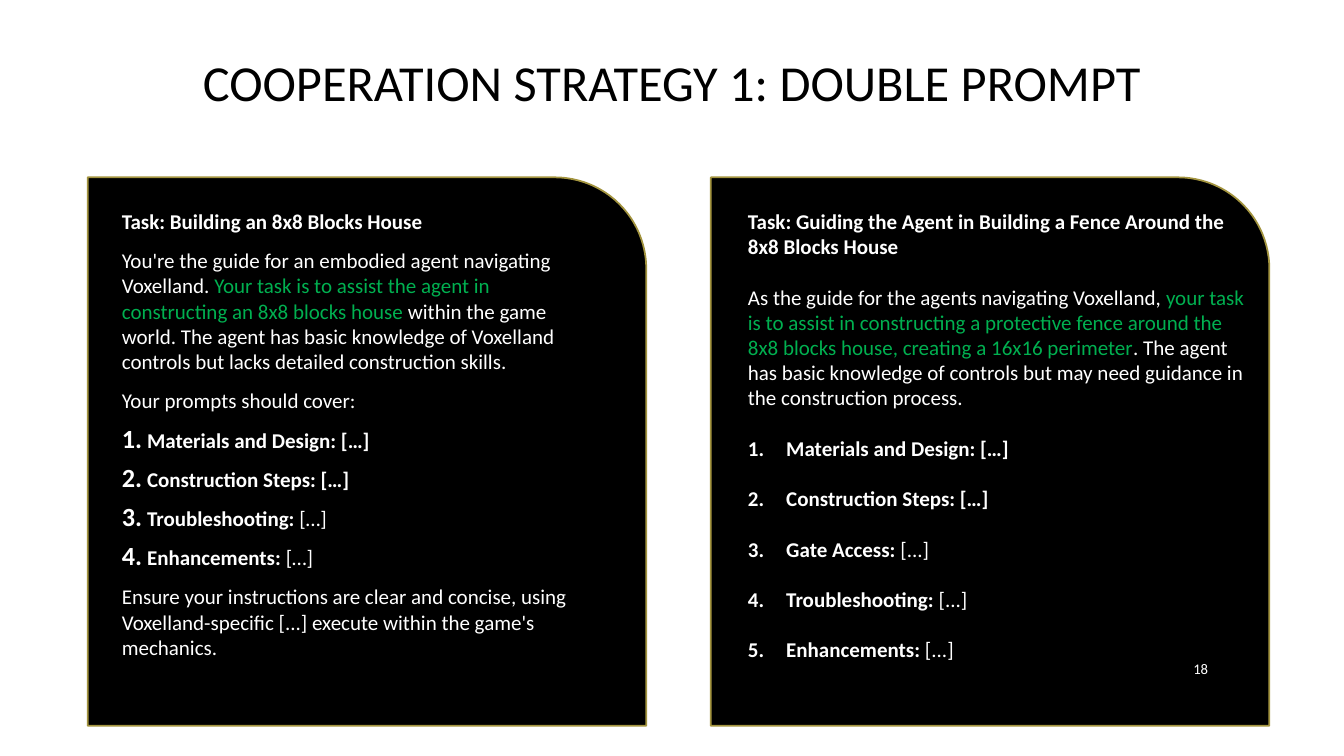
from lxml.etree import SubElement
from pptx import Presentation
from pptx.dml.color import RGBColor
from pptx.enum.shapes import MSO_SHAPE as Shape
from pptx.enum.text import MSO_ANCHOR as Anchor, PP_ALIGN as Align
from pptx.oxml.ns import qn
from pptx.util import Inches, Pt

BLACK, WHITE, GREEN, GOLD = "000000", "FFFFFF", "00B050", "A3943F"
PANEL_LEFT, PANEL_TOP, PANEL_WIDTH, PANEL_HEIGHT = 0.87, 1.76, 5.54, 5.44
COLUMN_STEP = 6.18
TEXT_TOP = 2.02


def color(value):
    return RGBColor.from_string(value)


def add_runs(paragraph, runs, size):
    for text, bold, value in runs:
        run = paragraph.add_run()
        run.text = text
        run.font.color.rgb = color(value)
        for name, setting in {"name": "Calibri", "size": Pt(size), "bold": bold}.items():
            setattr(run.font, name, setting)


columns = [
    {
        "inset": 0.24, "width": 4.88, "gap": 10, "indent": 0.25, "bullet_size": 125,
        "intro": [
            [("Task: Building an 8x8 Blocks House", True, WHITE)],
            [
                ("You're the guide for an embodied agent navigating Voxelland. ", False, WHITE),
                ("Your task is to assist the agent in constructing an 8x8 blocks house ", False, GREEN),
                ("within the game world. The agent has basic knowledge of Voxelland controls "
                 "but lacks detailed construction skills.", False, WHITE),
            ],
            [("Your prompts should cover:", False, WHITE)],
        ],
        "steps": [
            [("Materials and Design: […]", True, WHITE)],
            [("Construction Steps: […]", True, WHITE)],
            [("Troubleshooting:", True, WHITE), (" […]", False, WHITE)],
            [("Enhancements:", True, WHITE), (" […]", False, WHITE)],
        ],
        "closing": [
            [("Ensure your instructions are clear and concise, using Voxelland-specific [...] "
              "execute within the game's mechanics.", False, WHITE)],
        ],
    },
    {
        "inset": 0.27, "width": 5.14, "gap": 18, "indent": 0.38, "bullet_size": 100,
        "intro": [
            [("Task: Guiding the Agent in Building a Fence Around the 8x8 Blocks House", True, WHITE)],
            [
                ("As the guide for the agents navigating Voxelland, ", False, WHITE),
                ("your task is to assist in constructing a protective fence around the 8x8 blocks "
                 "house, creating a 16x16 perimeter", False, GREEN),
                (". The agent has basic knowledge of controls but may need guidance in the "
                 "construction process.", False, WHITE),
            ],
        ],
        "steps": [
            [("Materials and Design: […]", True, WHITE)],
            [("Construction Steps: […]", True, WHITE)],
            [("Gate Access:", True, WHITE), (" [...]", False, WHITE)],
            [("Troubleshooting:", True, WHITE), (" [...]", False, WHITE)],
            [("Enhancements:", True, WHITE), (" [...]", False, WHITE)],
        ],
        "closing": [],
    },
]

presentation = Presentation()
presentation.slide_width = Inches(13.33)
presentation.slide_height = Inches(7.5)
slide = presentation.slides.add_slide(presentation.slide_layouts[5])

title = slide.shapes.title
title_box = {"left": 1.25, "top": 0.33, "width": 10.83, "height": 1.03}
for name, length in title_box.items():
    setattr(title, name, Inches(length))
title.text_frame.vertical_anchor = Anchor.MIDDLE
title_paragraph = title.text_frame.paragraphs[0]
title_paragraph.alignment = Align.CENTER
title_paragraph.line_spacing = 0.9
add_runs(title_paragraph, [("COOPERATION STRATEGY 1: DOUBLE PROMPT", False, BLACK)], 36)

for index, column in enumerate(columns):
    left = PANEL_LEFT + index * COLUMN_STEP
    panel = slide.shapes.add_shape(
        Shape.ROUND_1_RECTANGLE,
        Inches(left), Inches(PANEL_TOP), Inches(PANEL_WIDTH), Inches(PANEL_HEIGHT),
    )
    panel.shadow.inherit = False
    panel.fill.solid()
    panel.fill.fore_color.rgb = color(BLACK)
    panel.line.color.rgb = color(GOLD)
    panel.line.width = Pt(1.25)

    prompt = slide.shapes.add_textbox(
        Inches(left + column["inset"]), Inches(TEXT_TOP), Inches(column["width"]), Inches(5.15)
    )
    frame = prompt.text_frame
    frame.word_wrap = True
    entries = [(runs, part == "steps") for part in ("intro", "steps", "closing") for runs in column[part]]
    for position, (runs, numbered) in enumerate(entries):
        paragraph = frame.add_paragraph() if position else frame.paragraphs[0]
        paragraph.space_before = Pt(column["gap"] if position else 0)
        if numbered:
            properties = paragraph._p.get_or_add_pPr()
            indent = Inches(column["indent"])
            properties.set("marL", str(indent))
            properties.set("indent", str(-indent))
            SubElement(properties, qn("a:buSzPct"), val=str(column["bullet_size"] * 1000))
            SubElement(properties, qn("a:buFont"), typeface="+mj-lt")
            SubElement(properties, qn("a:buAutoNum"), type="arabicPeriod")
        add_runs(paragraph, runs, 15)

page_number = slide.shapes.add_textbox(Inches(11.24), Inches(6.43), Inches(0.84), Inches(0.4))
page_number.text_frame.word_wrap = True
page_number.text_frame.vertical_anchor = Anchor.MIDDLE
number_paragraph = page_number.text_frame.paragraphs[0]
number_paragraph.alignment = Align.RIGHT
add_runs(number_paragraph, [("18", False, WHITE)], 10.5)

presentation.save("out.pptx")
